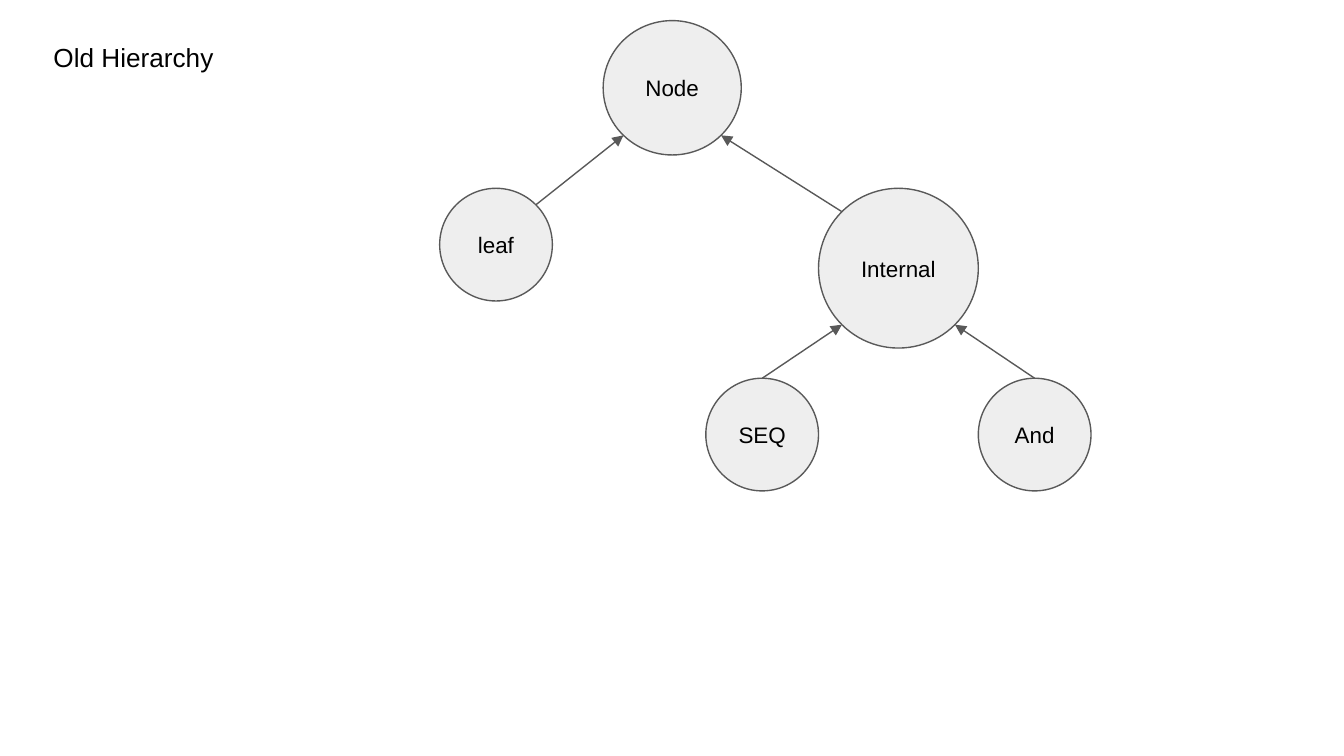
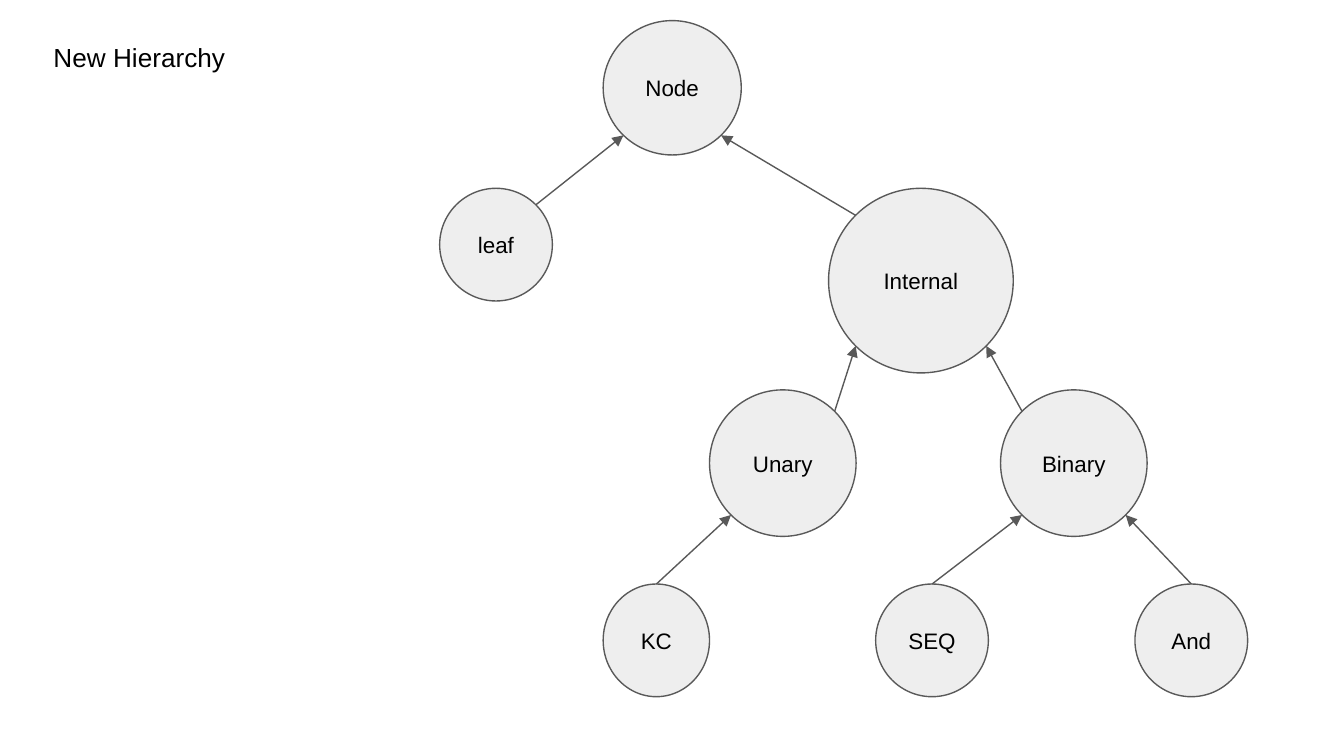
from dataclasses import dataclass
from enum import IntEnum
from math import cos, radians, sin

from lxml.etree import SubElement
from pptx import Presentation
from pptx.dml.color import RGBColor as Rgb
from pptx.enum.shapes import MSO_CONNECTOR as Connector, MSO_SHAPE as Shape
from pptx.enum.text import MSO_ANCHOR as Anchor, MSO_AUTO_SIZE as AutoSize, PP_ALIGN as Align
from pptx.oxml.ns import qn
from pptx.util import Cm, Pt


@dataclass(frozen=True)
class Theme:
    """Colours, font and sizes shared by both slides."""

    fill: Rgb = Rgb(0xEE, 0xEE, 0xEE)
    line: Rgb = Rgb(0x59, 0x59, 0x59)
    text: Rgb = Rgb(0, 0, 0)
    font: str = "Arial"
    title_size: Pt = Pt(14)
    label_size: Pt = Pt(12)
    line_width: Pt = Pt(0.75)
    inset: Cm = Cm(0.25)


class Site(IntEnum):
    """Connection sites of an ellipse, counterclockwise from the top."""

    TOP = 0
    TOP_LEFT = 1
    BOTTOM_LEFT = 3
    BOTTOM_RIGHT = 5
    TOP_RIGHT = 7


THEME = Theme()
LAYOUT_NAME = "Title Only"
ROW_TWO = 3.56
OLD_ROW_THREE = 7.15
NEW_ROW_THREE = 7.37
ROW_FOUR = 11.04
SMALL = 2.13
MEDIUM = 2.77

TOP_CIRCLES = {
    "Node": (11.4, 0.39, 2.61, 2.54),
    "leaf": (8.31, ROW_TWO, SMALL, SMALL),
}
TOP_ARROWS = [
    ("leaf", Site.TOP_RIGHT, "Node", Site.BOTTOM_LEFT),
    ("Internal", Site.TOP_LEFT, "Node", Site.BOTTOM_RIGHT),
]

OLD_CIRCLES = {
    "Internal": (15.47, ROW_TWO, 3.02, 3.02),
    "SEQ": (13.34, OLD_ROW_THREE, SMALL, SMALL),
    "And": (18.49, OLD_ROW_THREE, SMALL, SMALL),
}
OLD_ARROWS = [
    ("SEQ", Site.TOP, "Internal", Site.BOTTOM_LEFT),
    ("And", Site.TOP, "Internal", Site.BOTTOM_RIGHT),
]

NEW_CIRCLES = {
    "Internal": (15.66, ROW_TWO, 3.49, 3.49),
    "Unary": (13.41, NEW_ROW_THREE, MEDIUM, MEDIUM),
    "Binary": (18.91, NEW_ROW_THREE, MEDIUM, MEDIUM),
    "KC": (11.4, ROW_FOUR, 2.01, SMALL),
    "SEQ": (16.55, ROW_FOUR, SMALL, SMALL),
    "And": (21.45, ROW_FOUR, SMALL, SMALL),
}
NEW_ARROWS = [
    ("Unary", Site.TOP_RIGHT, "Internal", Site.BOTTOM_LEFT),
    ("Binary", Site.TOP_LEFT, "Internal", Site.BOTTOM_RIGHT),
    ("KC", Site.TOP, "Unary", Site.BOTTOM_LEFT),
    ("SEQ", Site.TOP, "Binary", Site.BOTTOM_LEFT),
    ("And", Site.TOP, "Binary", Site.BOTTOM_RIGHT),
]


def prepare_deck(width, height):
    """Return a deck of the given size whose template fits the slide."""
    deck = Presentation()
    ratio = height / deck.slide_height
    deck.slide_width, deck.slide_height = width, height
    for layout in list(deck.slide_layouts):
        if layout.name != LAYOUT_NAME:
            deck.slide_layouts.remove(layout)
    for template in (deck.slide_layouts[0], deck.slide_master):
        for box in template.placeholders:
            left, top, wide, high = box.left, box.top, box.width, box.height
            box.left, box.top = left, round(top * ratio)
            box.width, box.height = wide, round(high * ratio)
    return deck


def write_text(box, text, *, size, align=Align.LEFT, anchor=Anchor.TOP):
    """Fill a shape or placeholder with one formatted paragraph."""
    frame = box.text_frame
    frame.word_wrap = True
    frame.auto_size = AutoSize.NONE
    frame.vertical_anchor = anchor
    frame.margin_left = frame.margin_right = THEME.inset
    frame.margin_top = frame.margin_bottom = THEME.inset
    para = frame.paragraphs[0]
    para.alignment = align
    span = para.add_run()
    span.text = text
    span.font.name = THEME.font
    span.font.size = size
    span.font.color.rgb = THEME.text


def add_title(page, text):
    """Move the title placeholder to the top left and write the title."""
    title = page.shapes.title
    title.left, title.top = Cm(0.76), Cm(0.53)
    title.width, title.height = Cm(6.68), Cm(1.14)
    write_text(title, text, size=THEME.title_size)


def style_line(line):
    """Apply the shared outline colour and width."""
    line.color.rgb = THEME.line
    line.width = THEME.line_width


def add_circle(page, label, bounds):
    """Draw one labelled class of the hierarchy."""
    circle = page.shapes.add_shape(Shape.OVAL, *map(Cm, bounds))
    circle.shadow.inherit = False
    circle.fill.solid()
    circle.fill.fore_color.rgb = THEME.fill
    style_line(circle.line)
    write_text(circle, label, size=THEME.label_size, align=Align.CENTER, anchor=Anchor.MIDDLE)
    return circle


def site_point(circle, site):
    """Return the position of a connection site on an ellipse."""
    angle = radians(90 + 45 * site)
    x = circle.left + circle.width / 2 * (1 + cos(angle))
    y = circle.top + circle.height / 2 * (1 - sin(angle))
    return round(x), round(y)


def add_arrow(page, child, child_site, parent, parent_site):
    """Join a child to its parent with an arrow glued at both ends."""
    start, end = site_point(child, child_site), site_point(parent, parent_site)
    arrow = page.shapes.add_connector(Connector.STRAIGHT, *start, *end)
    style_line(arrow.line)
    properties = arrow.element.spPr
    SubElement(properties.find(qn("a:ln")), qn("a:tailEnd"), type="triangle")
    SubElement(properties, qn("a:effectLst"))
    joints = arrow.element.find(".//" + qn("p:cNvCxnSpPr"))
    for tag, circle, site in (
        ("a:stCxn", child, child_site),
        ("a:endCxn", parent, parent_site),
    ):
        SubElement(joints, qn(tag), id=str(circle.shape_id), idx=str(int(site)))


def add_hierarchy(deck, title, circles, arrows):
    """Add one slide with its title, circles and arrows."""
    page = deck.slides.add_slide(deck.slide_layouts[0])
    add_title(page, title)
    drawn = {
        label: add_circle(page, label, bounds)
        for label, bounds in (TOP_CIRCLES | circles).items()
    }
    for child, child_site, parent, parent_site in TOP_ARROWS + arrows:
        add_arrow(page, drawn[child], child_site, drawn[parent], parent_site)


def main():
    """Build the deck with the old and the new hierarchy."""
    deck = prepare_deck(Cm(25.4), Cm(14.29))
    add_hierarchy(deck, "Old Hierarchy", OLD_CIRCLES, OLD_ARROWS)
    add_hierarchy(deck, "New Hierarchy", NEW_CIRCLES, NEW_ARROWS)
    deck.save("out.pptx")


if __name__ == "__main__":
    main()
